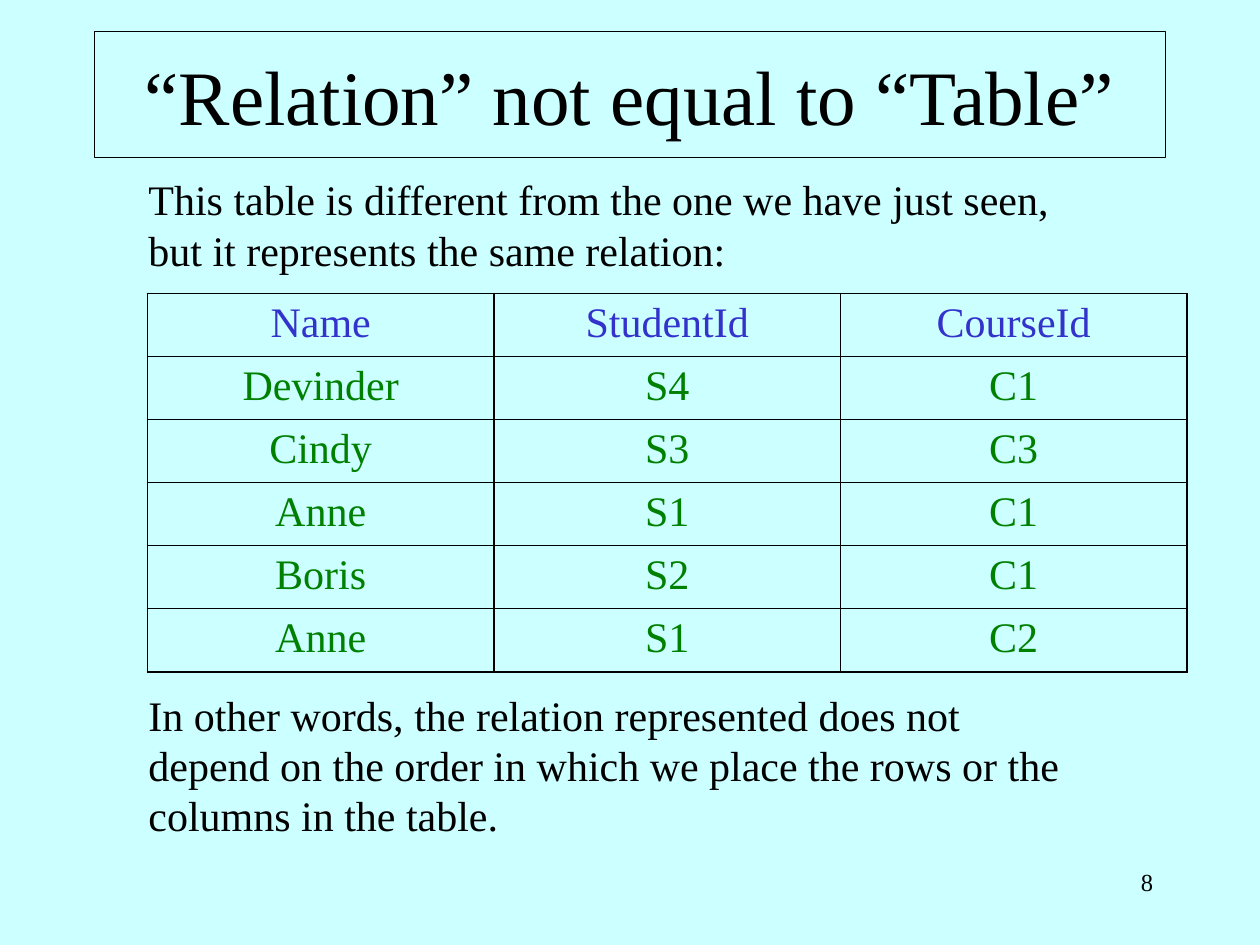
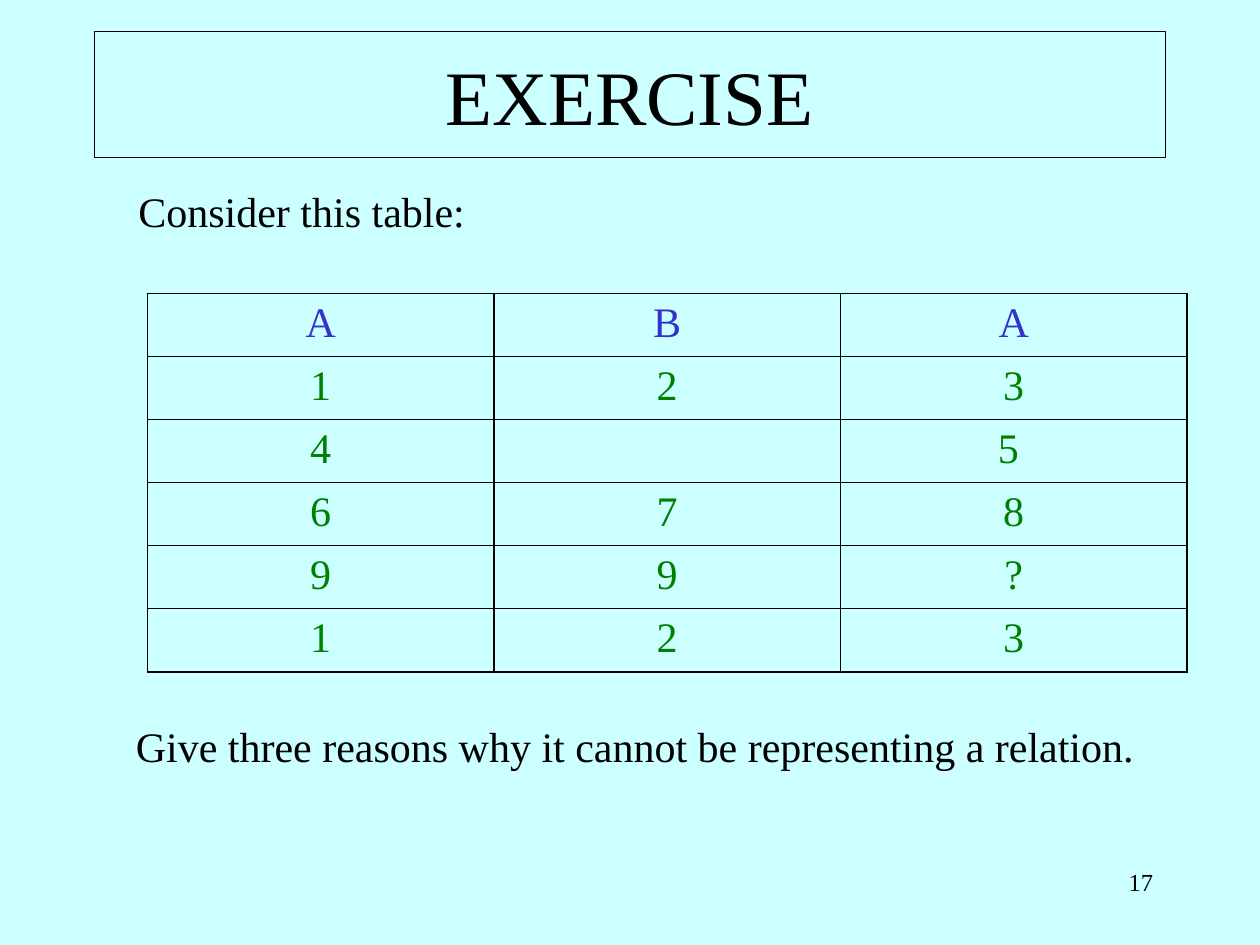
from lxml import etree
from pptx import Presentation
from pptx.dml.color import RGBColor
from pptx.enum.text import MSO_ANCHOR, PP_ALIGN
from pptx.oxml.ns import qn
from pptx.util import Inches, Pt

FONT = "Times New Roman"
COLORS = {
    "background": "CCFFFF",
    "text": "000000",
    "header": "3333CC",
    "value": "008000",
}
ROW_HEIGHT = 0.5
COLUMN_WIDTH = 2.75
THICK, THIN = 1.08, 0.45

# Each text entry: left, top, width, height, wording
SLIDES = [
    {
        "title": "“Relation” not equal to “Table”",
        "number": "8",
        "texts": [
            (1.08, 1.33, 7.67, 0.9,
             "This table is different from the one we have just seen, "
             "but it represents the same relation:"),
            (1.08, 5.42, 7.67, 1.3,
             "In other words, the relation represented does not depend on the "
             "order in which we place the rows or the columns in the table."),
        ],
        "rows": [
            ("Name", "StudentId", "CourseId"),
            ("Devinder", "S4", "C1"),
            ("Cindy", "S3", "C3"),
            ("Anne", "S1", "C1"),
            ("Boris", "S2", "C1"),
            ("Anne", "S1", "C2"),
        ],
    },
    {
        "title": "EXERCISE",
        "number": "17",
        "texts": [
            (1, 1.42, 7.67, 0.5, "Consider this table:"),
            (0.98, 5.67, 8.15, 0.5,
             "Give three reasons why it cannot be representing a relation."),
        ],
        "rows": [
            ("A", "B", "A"),
            ("1", "2", "3"),
            ("4", "", "5 "),
            ("6", "7", "8"),
            ("9", "9", "?"),
            ("1", "2", "3"),
        ],
    },
]


def write_text(text_frame, text, size, color, align):
    text_frame.text = text
    paragraph = text_frame.paragraphs[0]
    paragraph.alignment = align
    for run in paragraph.runs:
        run.font.name = FONT
        run.font.size = Pt(size)
        run.font.color.rgb = RGBColor.from_string(COLORS[color])


def add_border(cell, side, width):
    """Draw one cell side; sides must be added in the order L, R, T, B."""
    properties = cell._tc.get_or_add_tcPr()
    line = etree.SubElement(properties, qn(f"a:ln{side}"), w=str(Pt(width)))
    fill = etree.SubElement(line, qn("a:solidFill"))
    etree.SubElement(fill, qn("a:srgbClr"), val=COLORS["text"])


presentation = Presentation()
presentation.slide_width = Inches(10)
presentation.slide_height = Inches(7.5)
master_fill = presentation.slide_master.background.fill
master_fill.solid()
master_fill.fore_color.rgb = RGBColor.from_string(COLORS["background"])
title_only = presentation.slide_layouts[5]

for content in SLIDES:
    slide = presentation.slides.add_slide(title_only)

    title = slide.shapes.title
    title.left, title.top = Inches(0.75), Inches(0.25)
    title.width, title.height = Inches(8.5), Inches(1)
    title.line.color.rgb = RGBColor.from_string(COLORS["text"])
    title.line.width = Pt(0.75)
    title.text_frame.vertical_anchor = MSO_ANCHOR.MIDDLE
    write_text(title.text_frame, content["title"], 44, "text", PP_ALIGN.CENTER)

    for left, top, width, height, text in content["texts"]:
        text_box = slide.shapes.add_textbox(
            Inches(left), Inches(top), Inches(width), Inches(height))
        text_box.text_frame.word_wrap = True
        write_text(text_box.text_frame, text, 24, "text", PP_ALIGN.LEFT)

    rows = content["rows"]
    column_count = len(rows[0])
    table = slide.shapes.add_table(
        len(rows), column_count, Inches(1.17), Inches(2.33),
        Inches(COLUMN_WIDTH * column_count), Inches(ROW_HEIGHT * len(rows))).table
    table.first_row = False
    table.horz_banding = False
    last_row = len(rows) - 1
    for row_index, row in enumerate(rows):
        color = "header" if row_index == 0 else "value"
        borders = {
            "L": THICK,
            "R": THICK,
            "T": THICK if row_index == 0 else THIN,
            "B": THICK if row_index == last_row else THIN,
        }
        for column_index, text in enumerate(row):
            cell = table.cell(row_index, column_index)
            write_text(cell.text_frame, text, 24, color, PP_ALIGN.CENTER)
            for side, width in borders.items():
                add_border(cell, side, width)
            cell.fill.background()

    number_box = slide.shapes.add_textbox(
        Inches(7.17), Inches(6.83), Inches(2.08), Inches(0.5))
    number_box.text_frame.word_wrap = True
    write_text(number_box.text_frame, content["number"], 14, "text", PP_ALIGN.RIGHT)

presentation.save("out.pptx")
